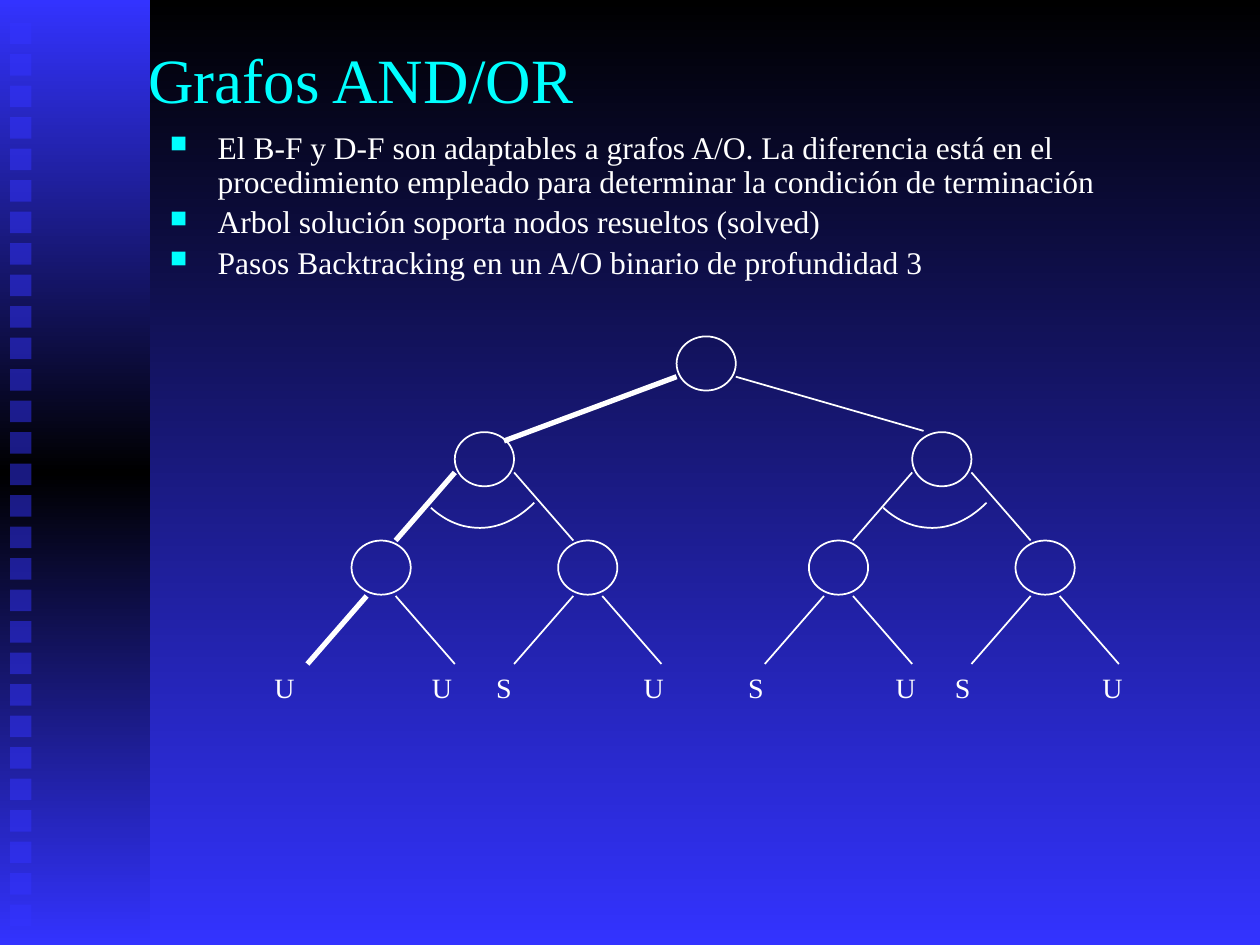
from copy import deepcopy

from pptx import Presentation
from pptx import util as u
from pptx.dml.color import RGBColor
from pptx.enum import shapes, text
from pptx.oxml import ns, xmlchemy

BLACK = RGBColor(0x00, 0x00, 0x00)
BLUE = RGBColor(0x33, 0x33, 0xFF)
CYAN = RGBColor(0x00, 0xFF, 0xFF)
WHITE = RGBColor(0xFF, 0xFF, 0xFF)
FONT = "Times New Roman"
NODE_WIDTH, NODE_HEIGHT = 0.47, 0.43
THIN, THICK = 1, 3

BULLETS = [
    "El B-F y D-F son adaptables a grafos A/O. La diferencia está en el procedimiento "
    "empleado para determinar la condición de terminación",
    "Arbol solución soporta nodos resueltos (solved)",
    "Pasos Backtracking en un A/O binario de profundidad 3",
]


def add_element(parent, tag, **attributes):
    element = xmlchemy.OxmlElement(tag)
    for name, value in attributes.items():
        element.set(name, str(value))
    parent.append(element)
    return element


def paint_gradient(fill, colours):
    fill.gradient_angle = 270
    for index, (stop, colour) in enumerate(zip(fill.gradient_stops, colours)):
        stop.color.rgb = colour
        stop.position = index / (len(colours) - 1)


def write_text(para, content, size, colour=WHITE):
    para.alignment = text.PP_ALIGN.LEFT
    span = para.add_run()
    span.text = content
    span.font.name = FONT
    span.font.size = u.Pt(size)
    span.font.color.rgb = colour


def add_text_box(page, left, top, width, height, wrap=True, anchor=text.MSO_ANCHOR.TOP):
    box = page.shapes.add_textbox(*map(u.Inches, (left, top, width, height)))
    box.text_frame.word_wrap = wrap
    box.text_frame.vertical_anchor = anchor
    return box.text_frame


def add_bullet(para):
    properties = para._p.get_or_add_pPr()
    properties.set("marL", str(u.Inches(0.38)))
    properties.set("indent", str(-u.Inches(0.38)))
    colour = add_element(properties, "a:buClr")
    add_element(colour, "a:srgbClr", val=CYAN)
    add_element(properties, "a:buSzPct", val=75000)
    add_element(properties, "a:buChar", char="■")


def add_rectangle(page, left, top, width, height):
    box = page.shapes.add_shape(
        shapes.MSO_SHAPE.RECTANGLE, *map(u.Inches, (left, top, width, height)))
    box.shadow.inherit = False
    box.line.fill.background()
    return box


def add_side_band(page, left, top, width, height):
    band = add_rectangle(page, left, top, width, height)
    band.fill.gradient()
    stops = band._element.spPr.find(".//" + ns.qn("a:gsLst"))
    stops.append(deepcopy(stops[0]))
    paint_gradient(band.fill, [BLUE, BLACK, BLUE])
    for row in range(29):
        square = add_rectangle(page, left + 0.08, top + 0.18 + 0.25 * row, 0.17, 0.17)
        square.fill.solid()
        square.fill.fore_color.rgb = BLUE
        colour = square._element.spPr.find(".//" + ns.qn("a:srgbClr"))
        add_element(colour, "a:alpha", val=50000)


def add_title(page, left, top, width, height):
    frame = add_text_box(page, left, top, width, height, anchor=text.MSO_ANCHOR.MIDDLE)
    write_text(frame.paragraphs[0], "Grafos AND/OR", 36, CYAN)


def add_body(page, left, top, width, height):
    frame = add_text_box(page, left, top, width, height)
    for index, content in enumerate(BULLETS):
        para = frame.add_paragraph() if index else frame.paragraphs[0]
        add_bullet(para)
        para.line_spacing = 0.9
        if index:
            para.space_before = u.Pt(3.6)
        write_text(para, content, 18)


def add_node(page, left, top):
    node = page.shapes.add_shape(
        shapes.MSO_SHAPE.OVAL, *map(u.Inches, (left, top, NODE_WIDTH, NODE_HEIGHT)))
    node.shadow.inherit = False
    node.fill.background()
    node.line.color.rgb = WHITE
    node.line.width = u.Pt(THIN)


def add_edge(page, start, end, weight=THIN):
    edge = page.shapes.add_connector(
        shapes.MSO_CONNECTOR.STRAIGHT, *map(u.Inches, (*start, *end)))
    edge.line.color.rgb = WHITE
    edge.line.width = u.Pt(weight)
    add_element(edge._element.spPr, "a:effectLst")


def add_fork(page, left, top, inset, left_weight=THIN):
    across, down = 0.47, 0.54
    right = left + NODE_WIDTH - inset
    left += inset
    add_edge(page, (left, top), (left - across, top + down), left_weight)
    add_edge(page, (right, top), (right + across, top + down))


def cubic_points(start, first, second, end, steps=16):
    for step in range(1, steps + 1):
        t = step / steps
        weights = ((1 - t) ** 3, 3 * t * (1 - t) ** 2, 3 * t ** 2 * (1 - t), t ** 3)
        yield tuple(
            u.Inches(sum(w * value for w, value in zip(weights, values)))
            for values in zip(start, first, second, end))


def add_and_arc(page, left, top):
    curves = [
        ((0, 0.04), (0.12, 0.15), (0.25, 0.2), (0.39, 0.2)),
        ((0.39, 0.2), (0.54, 0.2), (0.69, 0.13), (0.82, 0)),
    ]
    placed = [[(left + x, top + y) for x, y in curve] for curve in curves]
    builder = page.shapes.build_freeform(*map(u.Inches, placed[0][0]))
    for curve in placed:
        builder.add_line_segments(list(cubic_points(*curve)), close=False)
    arc = builder.convert_to_shape()
    arc.shadow.inherit = False
    arc.fill.background()
    arc.line.color.rgb = WHITE
    arc.line.width = u.Pt(THIN)


def add_subtree(page, left, top, arc_left, labels, weight=THIN):
    branch, right_leaf, leaf_top = left + 0.82, left + 1.64, top + 0.86
    for node_left, node_top in ((branch, top), (left, leaf_top), (right_leaf, leaf_top)):
        add_node(page, node_left, node_top)
    add_fork(page, branch, top + 0.32, 0, weight)
    add_fork(page, left, leaf_top + 0.44, 0.12, weight)
    add_fork(page, right_leaf, leaf_top + 0.44, 0.12)
    add_and_arc(page, arc_left, top + 0.56)
    for content, label_left in labels:
        frame = add_text_box(page, label_left, top + 1.84, 0.36, 0.37, wrap=False)
        write_text(frame.paragraphs[0], content, 16)


def add_tree(page, left, top):
    root = left + 2.58
    add_node(page, root, top)
    add_edge(page, (root + NODE_WIDTH, top + 0.32), (left + 4.54, top + 0.75))
    add_edge(page, (root, top + 0.32), (left + 1.21, top + 0.83), THICK)
    add_subtree(page, left, top + 0.76, left + 0.63,
                [("U", 2.08), ("U", 3.33), ("S", 3.84), ("U", 5.01)], THICK)
    add_subtree(page, left + 3.63, top + 0.76, left + 4.22,
                [("S", 5.84), ("U", 7.01), ("S", 7.48), ("U", 8.65)])


def main():
    deck = Presentation()
    deck.slide_width, deck.slide_height = u.Inches(10), u.Inches(7.5)
    page = deck.slides.add_slide(deck.slide_layouts[6])
    page.background.fill.gradient()
    paint_gradient(page.background.fill, [BLACK, BLUE])
    add_side_band(page, 0, 0, 1.19, 7.5)
    add_title(page, 1.08, 0, 8.5, 1.25)
    add_body(page, 1.25, 1, 8.5, 1.42)
    add_tree(page, 2.79, 2.67)
    deck.save("out.pptx")


if __name__ == "__main__":
    main()
